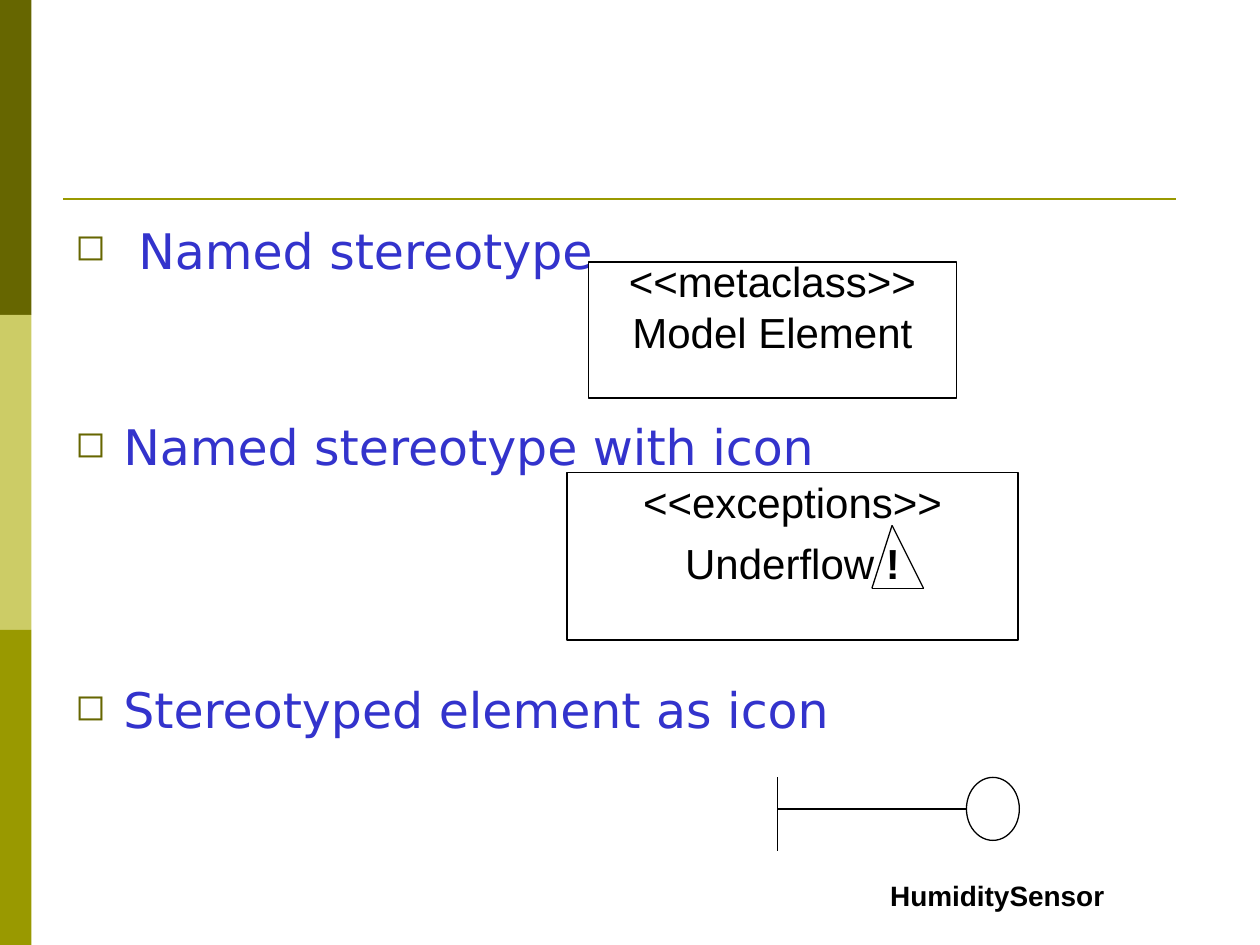
import lxml.etree
import pptx
import pptx.dml.color
import pptx.enum.shapes
import pptx.enum.text
import pptx.oxml.ns
import pptx.util

Inches = pptx.util.Inches
Pt = pptx.util.Pt
RGBColor = pptx.dml.color.RGBColor
SHAPE = pptx.enum.shapes.MSO_SHAPE
qn = pptx.oxml.ns.qn

BLACK = RGBColor(0x00, 0x00, 0x00)
BLUE = RGBColor(0x33, 0x33, 0xCC)
DARK_OLIVE = RGBColor(0x66, 0x66, 0x00)
LIGHT_OLIVE = RGBColor(0xCC, 0xCC, 0x66)
OLIVE = RGBColor(0x99, 0x99, 0x00)

BULLET_FONT = {"name": "DejaVu Sans", "size": Pt(28)}
CLASS_FONT = {"name": "Arial", "size": Pt(24)}
LABEL_FONT = {"name": "Arial", "size": Pt(16), "bold": True}


def add_span(para, text, font_format, color):
    span = para.add_run()
    span.text = text
    for name, value in font_format.items():
        setattr(span.font, name, value)
    span.font.color.rgb = color


def add_line(page, start, end, color=BLACK, width=0.75):
    points = [Inches(value) for value in (*start, *end)]
    line = page.shapes.add_connector(pptx.enum.shapes.MSO_CONNECTOR.STRAIGHT, *points)
    line.line.color.rgb = color
    line.line.width = Pt(width)
    lxml.etree.SubElement(line._element.spPr, qn("a:effectLst"))


deck = pptx.Presentation()
deck.slide_width = Inches(10)
deck.slide_height = Inches(7.5)
page = deck.slides.add_slide(deck.slide_layouts[6])

# Side bands and title rule
for index, color in enumerate((DARK_OLIVE, LIGHT_OLIVE, OLIVE)):
    band = page.shapes.add_shape(
        SHAPE.RECTANGLE, 0, Inches(2.5 * index), Inches(0.25), Inches(2.5))
    band.shadow.inherit = False
    band.fill.solid()
    band.fill.fore_color.rgb = color
    band.line.fill.background()
add_line(page, (0.5, 1.58), (9.33, 1.58), OLIVE, 1.5)

# Bulleted headings: text, text indent, space before
headings = [
    ("Named stereotype", 0.5, 0),
    ("Named stereotype with icon", 0.38, 82),
    ("Stereotyped element as icon", 0.38, 120),
]
body = page.shapes.add_textbox(Inches(0.5), Inches(1.75), Inches(9.25), Inches(5.42))
body.text_frame.word_wrap = True
for index, (text, indent, space) in enumerate(headings):
    para = body.text_frame.paragraphs[0] if index == 0 else body.text_frame.add_paragraph()
    properties = para._p.get_or_add_pPr()
    properties.set("marL", str(Inches(indent)))
    properties.set("indent", str(-Inches(indent)))
    bullet_color = lxml.etree.SubElement(properties, qn("a:buClr"))
    lxml.etree.SubElement(bullet_color, qn("a:srgbClr"), val=str(DARK_OLIVE))
    lxml.etree.SubElement(properties, qn("a:buSzPct"), val="75000")
    lxml.etree.SubElement(properties, qn("a:buChar"), char="◻")
    para.line_spacing = 0.9
    para.space_before = Pt(space)
    add_span(para, text, BULLET_FONT, BLUE)

# Class boxes: place, space between lines, lines made of (text, bold) spans
class_boxes = [
    ((4.67, 2.08, 2.92, 1.08), 0,
     [[("<<metaclass>>", False)], [("Model Element", False)]]),
    ((4.5, 3.75, 3.58, 1.33), 6,
     [[("<<exceptions>>", False)], [("Underflow ", False), ("!", True)]]),
]
for place, space, lines in class_boxes:
    box = page.shapes.add_shape(SHAPE.RECTANGLE, *[Inches(value) for value in place])
    box.shadow.inherit = False
    box.fill.background()
    box.line.color.rgb = BLACK
    box.line.width = Pt(0.75)
    frame_format = {
        "word_wrap": False,
        "vertical_anchor": pptx.enum.text.MSO_ANCHOR.MIDDLE,
        "margin_top": 0,
        "margin_bottom": Inches(0.38),
    }
    for name, value in frame_format.items():
        setattr(box.text_frame, name, value)
    for index, spans in enumerate(lines):
        para = box.text_frame.paragraphs[0] if index == 0 else box.text_frame.add_paragraph()
        para.alignment = pptx.enum.text.PP_ALIGN.CENTER
        if index:
            para.space_before = Pt(space)
        for text, bold in spans:
            add_span(para, text, {**CLASS_FONT, "bold": bold}, BLACK)

# Warning triangle around the exclamation mark
apex, left, right = (7.08, 4.17), (6.92, 4.67), (7.33, 4.67)
for start, end in ((apex, left), (apex, right), (left, right)):
    add_line(page, start, end)

# Sensor icon
add_line(page, (6.17, 6.17), (6.17, 6.75))
add_line(page, (6.17, 6.42), (7.67, 6.42))
circle = page.shapes.add_shape(
    SHAPE.OVAL, Inches(7.67), Inches(6.17), Inches(0.42), Inches(0.5))
circle.shadow.inherit = False
circle.fill.background()
circle.line.color.rgb = BLACK
circle.line.width = Pt(0.75)

# Sensor label
label = page.shapes.add_textbox(Inches(6.75), Inches(6.92), Inches(2.33), Inches(0.4))
label.text_frame.word_wrap = True
para = label.text_frame.paragraphs[0]
para.alignment = pptx.enum.text.PP_ALIGN.CENTER
add_span(para, "HumiditySensor", LABEL_FONT, BLACK)

deck.save("out.pptx")
